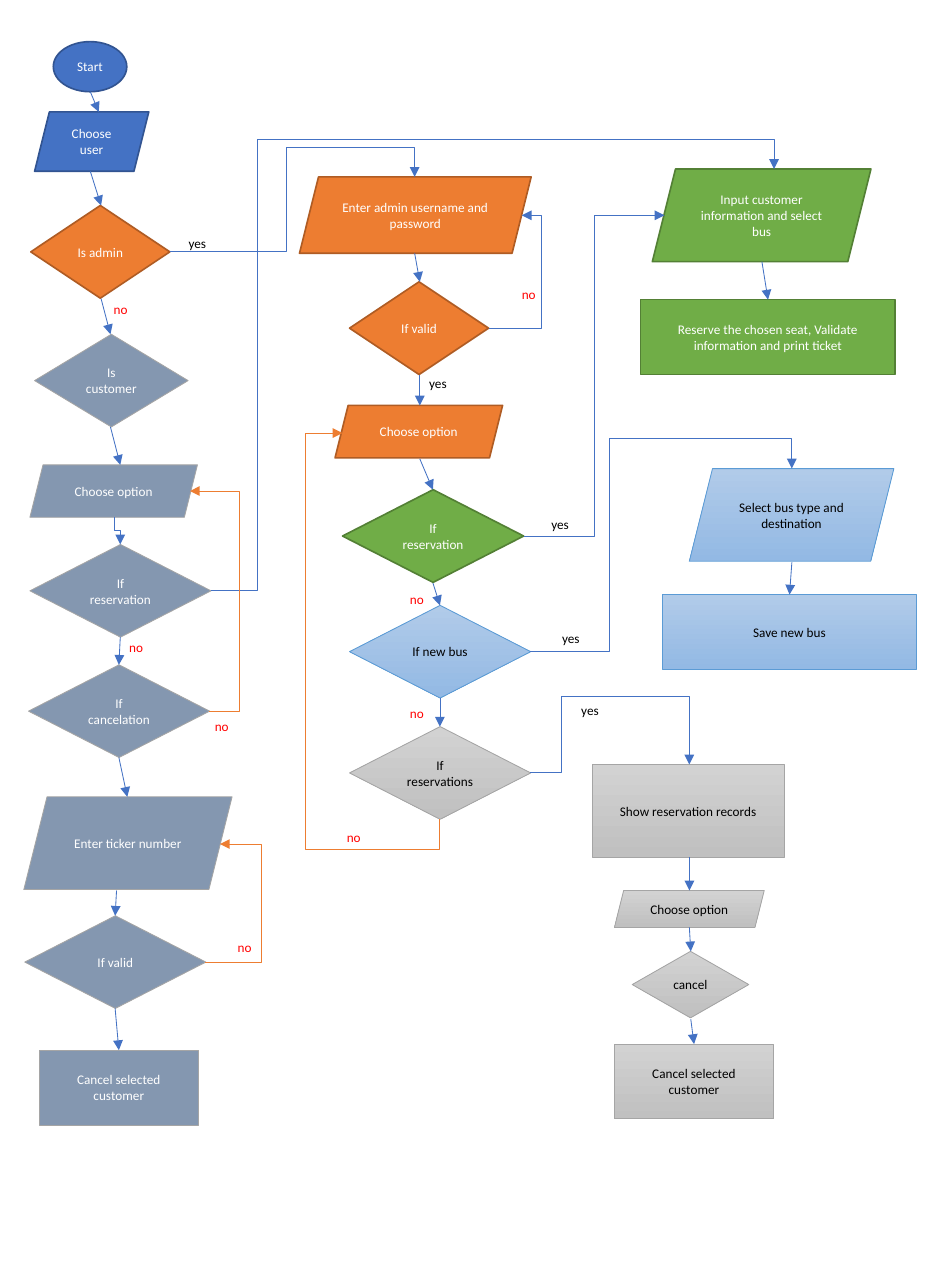
from pptx import Presentation
from pptx import util as u
from pptx.dml.color import RGBColor
from pptx.enum import shapes, text
from pptx.oxml.xmlchemy import OxmlElement

COLOURS = {
    "blue": "4472C4", "blue edge": "325491",
    "orange": "ED7D31", "orange edge": "AF5C24",
    "green": "70AD47", "green edge": "538035",
    "slate": "8497B0", "grey edge": "A5A5A5",
    "sky top": "B1CBE9", "sky bottom": "93B9E4", "sky edge": "5B9BD5",
    "silver top": "D2D2D2", "silver bottom": "C0C0C0",
    "white": "FFFFFF", "black": "000000", "red": "FF0000",
}
LOOKS = {
    "blue": (["blue"], "blue edge", 1, "white"),
    "orange": (["orange"], "orange edge", 1, "white"),
    "green": (["green"], "green edge", 1, "white"),
    "slate": (["slate"], "grey edge", 0.5, "white"),
    "sky": (["sky top", "sky bottom"], "sky edge", 0.5, "black"),
    "silver": (["silver top", "silver bottom"], "grey edge", 0.5, "black"),
}
START = shapes.MSO_SHAPE.OVAL
INPUT = shapes.MSO_SHAPE.PARALLELOGRAM
DECISION = shapes.MSO_SHAPE.DIAMOND
PROCESS = shapes.MSO_SHAPE.RECTANGLE
WIDE = (3.87, 1.98)
SMALL = (2.97, 1.98)
OPTION = (3.58, 1.12)
BOX = (5.44, 1.6)
CANCEL_BOX = (3.4, 1.6)

NODES = [
    (START, "blue", "Start", (1.14, 0.89), (1.57, 1.07)),
    (INPUT, "blue", "Choose user", (0.74, 2.39), (2.44, 1.27)),
    (DECISION, "orange", "Is admin", (0.66, 4.39), SMALL),
    (DECISION, "slate", "Is customer", (0.74, 7.14), (3.28, 1.98)),
    (INPUT, "slate", "Choose option", (0.64, 9.93), OPTION),
    (DECISION, "slate", "If reservation", (0.64, 11.63), WIDE),
    (DECISION, "slate", "If cancelation", (0.61, 14.2), WIDE),
    (INPUT, "slate", "Enter ticker number", (0.51, 17.02), (4.45, 1.98)),
    (DECISION, "slate", "If valid", (0.53, 19.56), WIDE),
    (PROCESS, "slate", "Cancel selected customer", (0.84, 22.43), CANCEL_BOX),
    (INPUT, "orange", "Enter admin username and password", (6.4, 3.78), (4.95, 1.63)),
    (DECISION, "orange", "If valid", (7.47, 6.02), SMALL),
    (INPUT, "orange", "Choose option", (7.16, 8.66), OPTION),
    (DECISION, "green", "If reservation", (7.32, 10.46), WIDE),
    (DECISION, "sky", "If new bus", (7.47, 12.93), WIDE),
    (DECISION, "silver", "If reservations", (7.47, 15.52), WIDE),
    (INPUT, "green", "Input customer information and select bus", (13.94, 3.61), (4.67, 1.98)),
    (PROCESS, "green", "Reserve the chosen seat, Validate information and print ticket", (13.69, 6.4), BOX),
    (INPUT, "sky", "Select bus type and destination", (14.73, 10.01), (4.37, 1.98)),
    (PROCESS, "sky", "Save new bus", (14.15, 12.7), BOX),
    (PROCESS, "silver", "Show reservation records", (12.65, 16.33), (4.11, 1.98)),
    (INPUT, "silver", "Choose option", (13.13, 19.02), (3.2, 0.79)),
    (DECISION, "silver", "cancel", (13.51, 20.32), (2.49, 1.42)),
    (PROCESS, "silver", "Cancel selected customer", (13.13, 22.3), CANCEL_BOX),
]
ARROWS = [
    ((1.93, 1.96), (2.11, 2.39)), ((1.93, 3.66), (2.16, 4.39)),
    ((2.16, 6.38), (2.36, 7.14)), ((2.36, 9.12), (2.57, 9.93)),
    ((2.57, 13.61), (2.54, 14.2)), ((2.54, 16.18), (2.72, 17.02)),
    ((2.49, 19.02), (2.46, 19.56)), ((2.46, 21.54), (2.54, 22.43)),
    ((8.86, 5.41), (8.97, 6.02)), ((8.97, 8), (8.97, 8.66)),
    ((8.97, 9.8), (9.25, 10.46)), ((9.25, 12.45), (9.4, 12.93)),
    ((9.4, 14.91), (9.4, 15.52)), ((16.28, 5.59), (16.41, 6.4)),
    ((16.92, 12.01), (16.87, 12.7)), ((14.73, 18.31), (14.73, 19.02)),
    ((14.73, 19.81), (14.76, 20.32)), ((14.76, 21.77), (14.83, 22.3)),
]
SIDE_ELBOWS = [
    ((3.63, 5.38), (8.86, 3.78), [6.12, 3.15], "blue"),
    ((4.52, 12.62), (16.54, 3.61), [5.49, 2.97], "blue"),
    ((11.2, 11.46), (14.2, 4.6), [12.7], "blue"),
    ((11.33, 13.92), (16.92, 10.01), [13.03, 9.37], "blue"),
    ((11.33, 16.51), (14.73, 16.33), [11.99, 14.88], "blue"),
    ((10.44, 7.01), (11.15, 4.6), [11.56], "blue"),
    ((4.39, 20.55), (4.7, 18.03), [5.59], "orange"),
    ((4.47, 15.19), (4.06, 10.49), [5.11], "orange"),
]
DOWN_ELBOWS = [
    ((2.44, 11.05), (2.57, 11.63), [11.33], "blue"),
    ((9.4, 17.5), (7.32, 9.25), [18.14, 6.53], "orange"),
]
LABELS = {
    ("yes", "black"): [(3.78, 4.9), (8.92, 7.9), (11.53, 10.9), (11.76, 13.34), (12.17, 14.88)],
    ("no", "red"): [(2.18, 6.32), (2.51, 13.54), (4.83, 19.94), (8.51, 12.5),
                    (8.51, 14.94), (7.16, 17.58), (4.34, 15.21), (10.9, 5.99)],
}


class Flowchart:
    """Draws flowchart elements on a slide, with lengths in centimetres."""

    font_name = "Calibri"
    font_size = u.Pt(8)
    arrow_width = u.Pt(0.5)

    def __init__(self, slide):
        self.slide = slide

    def colour(self, name):
        return RGBColor.from_string(COLOURS[name])

    def caption(self, shape, words, colour):
        frame = shape.text_frame
        frame.word_wrap = True
        paragraph = frame.paragraphs[0]
        paragraph.text = words
        paragraph.font.name = self.font_name
        paragraph.font.size = self.font_size
        paragraph.font.color.rgb = self.colour(colour)
        return paragraph

    def node(self, kind, look, words, position, size):
        fills, edge, width, ink = LOOKS[look]
        shape = self.slide.shapes.add_shape(kind, *map(u.Cm, position + size))
        shape.shadow.inherit = False
        if len(fills) == 1:
            shape.fill.solid()
            shape.fill.fore_color.rgb = self.colour(fills[0])
        else:
            shape.fill.gradient()
            shape.fill.gradient_angle = 270
            for stop, name in zip(shape.fill.gradient_stops, fills):
                stop.color.rgb = self.colour(name)
        shape.line.color.rgb = self.colour(edge)
        shape.line.width = u.Pt(width)
        shape.text_frame.vertical_anchor = text.MSO_ANCHOR.MIDDLE
        self.caption(shape, words, ink).alignment = text.PP_ALIGN.CENTER

    def label(self, words, colour, position):
        box = self.slide.shapes.add_textbox(*map(u.Cm, position + (0.97, 0.61)))
        self.caption(box, words, colour)

    def arrow(self, start, end, colour="blue", kind=shapes.MSO_CONNECTOR.STRAIGHT):
        connector = self.slide.shapes.add_connector(kind, *map(u.Cm, start + end))
        connector.line.color.rgb = self.colour(colour)
        connector.line.width = self.arrow_width
        properties = connector._element.spPr
        head = OxmlElement("a:tailEnd")
        head.set("type", "triangle")
        properties.ln.append(head)
        properties.append(OxmlElement("a:effectLst"))
        return connector

    def elbow(self, start, end, bends, colour, downward=False):
        axes = (1, 0) if downward else (0, 1)
        ratios = [(bend - start[axis]) / (end[axis] - start[axis])
                  for bend, axis in zip(bends, axes)]
        if downward:
            x, y = ((a + b) / 2 for a, b in zip(start, end))
            across, along = (end[0] - start[0]) / 2, (end[1] - start[1]) / 2
            start, end = (x - along, y + across), (x + along, y - across)
        connector = self.arrow(start, end, colour, shapes.MSO_CONNECTOR.ELBOW)
        properties = connector._element.spPr
        if downward:
            properties.xfrm.set("rot", "5400000")
        geometry = properties.prstGeom
        geometry.set("prst", f"bentConnector{len(bends) + 2}")
        guides = geometry.get_or_add_avLst()
        for number, ratio in enumerate(ratios, 1):
            guide = OxmlElement("a:gd")
            guide.set("name", f"adj{number}")
            guide.set("fmla", f"val {round(ratio * 100000)}")
            guides.append(guide)


def main():
    presentation = Presentation()
    presentation.slide_width, presentation.slide_height = u.Cm(20.32), u.Cm(27.51)
    chart = Flowchart(presentation.slides.add_slide(presentation.slide_layouts[6]))
    for node in NODES:
        chart.node(*node)
    for start, end in ARROWS:
        chart.arrow(start, end)
    for elbow in SIDE_ELBOWS:
        chart.elbow(*elbow)
    for elbow in DOWN_ELBOWS:
        chart.elbow(*elbow, downward=True)
    for (words, colour), positions in LABELS.items():
        for position in positions:
            chart.label(words, colour, position)
    presentation.save("out.pptx")


if __name__ == "__main__":
    main()
